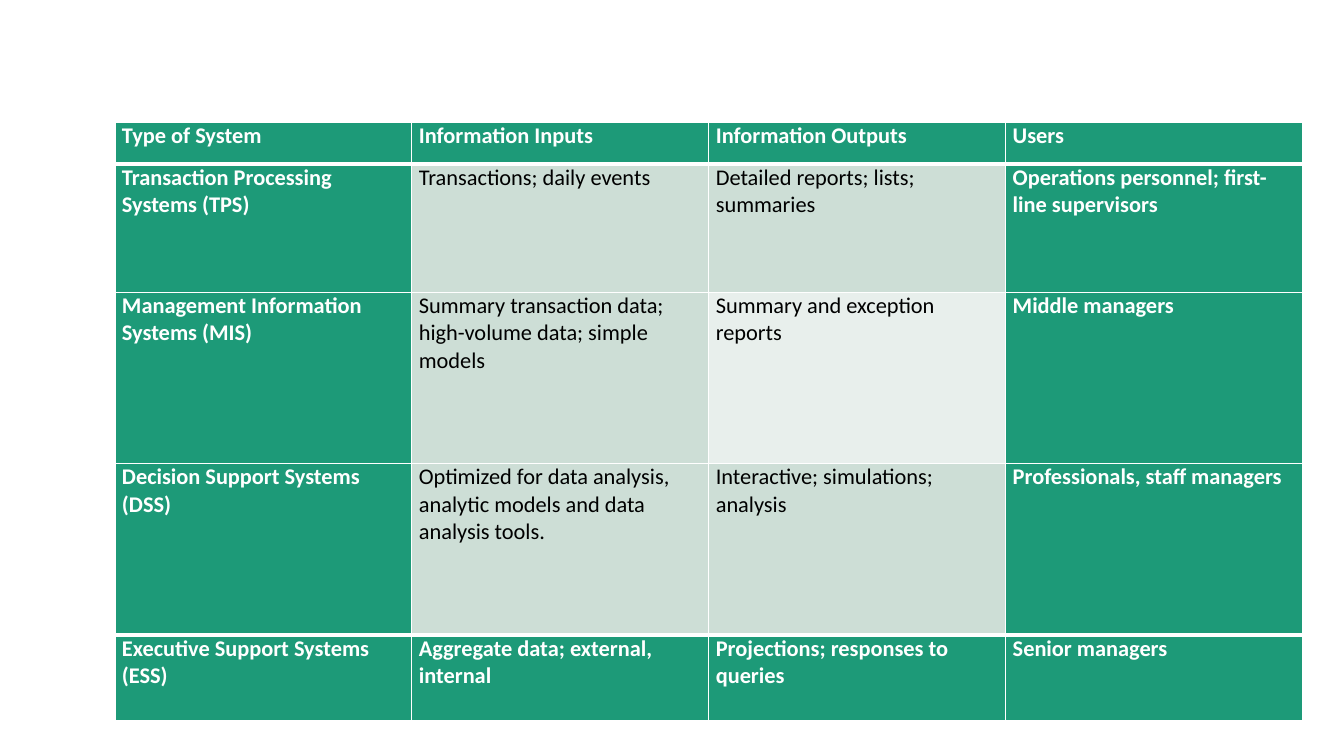
import lxml.etree
import pptx
import pptx.dml.color
import pptx.oxml.ns
import pptx.util
from pptx.util import Inches

WHITE = pptx.dml.color.RGBColor(0xFF, 0xFF, 0xFF)
BLACK = pptx.dml.color.RGBColor(0x00, 0x00, 0x00)
GREEN = pptx.dml.color.RGBColor(0x1D, 0x9A, 0x78)
PALE_GREEN = pptx.dml.color.RGBColor(0xCD, 0xDE, 0xD6)
LIGHT_GREEN = pptx.dml.color.RGBColor(0xE8, 0xEF, 0xEC)

TABLE_WIDTH = 11.78
ROW_HEIGHTS = [0.42, 1.27, 1.7, 1.7, 0.85]
SYSTEMS = [
    ["Type of System", "Information Inputs", "Information Outputs", "Users"],
    ["Transaction Processing Systems (TPS)", "Transactions; daily events",
     "Detailed reports; lists; summaries",
     "Operations personnel; first-line supervisors"],
    ["Management Information Systems (MIS)",
     "Summary transaction data; high-volume data; simple models",
     "Summary and exception reports", "Middle managers"],
    ["Decision Support Systems (DSS)",
     "Optimized for data analysis, analytic models and data analysis tools.",
     "Interactive; simulations; analysis", "Professionals, staff managers"],
    ["Executive Support Systems (ESS)", "Aggregate data; external, internal",
     "Projections; responses to queries", "Senior managers"],
]
LAST_ROW = len(SYSTEMS) - 1
LAST_COLUMN = len(SYSTEMS[0]) - 1
LIGHT_CELL = (2, 2)


def add_border(cell, side, points):
    """Draw a white border on one side: L, R, T or B."""
    properties = cell._tc.get_or_add_tcPr()
    line = lxml.etree.SubElement(properties, pptx.oxml.ns.qn(f"a:ln{side}"),
                                 w=str(pptx.util.Pt(points)))
    fill = lxml.etree.SubElement(line, pptx.oxml.ns.qn("a:solidFill"))
    lxml.etree.SubElement(fill, pptx.oxml.ns.qn("a:srgbClr"), val=str(WHITE))


def add_borders(cell, row):
    """Separate the first and last rows from the body with thicker lines."""
    thick_top = row in (1, LAST_ROW)
    thick_bottom = row in (0, LAST_ROW - 1)
    add_border(cell, "L", 1)
    add_border(cell, "R", 1)
    add_border(cell, "T", 3 if thick_top else 1)
    add_border(cell, "B", 3 if thick_bottom else 1)


def fill_cell(cell, text, fill_color, emphasized):
    cell.margin_left = cell.margin_right = Inches(0.07)
    cell.margin_top = cell.margin_bottom = 0
    cell.fill.solid()
    cell.fill.fore_color.rgb = fill_color
    cell.text_frame.text = text
    font = cell.text_frame.paragraphs[0].runs[0].font
    font.name = "Calibri"
    font.size = pptx.util.Pt(16)
    font.bold = emphasized
    font.color.rgb = WHITE if emphasized else BLACK


def add_systems_table(slide):
    table = slide.shapes.add_table(
        len(SYSTEMS), len(SYSTEMS[0]), Inches(1.14), Inches(1.21),
        Inches(TABLE_WIDTH), Inches(sum(ROW_HEIGHTS))).table
    for column in table.columns:
        column.width = Inches(TABLE_WIDTH / len(SYSTEMS[0]))
    for row, texts in enumerate(SYSTEMS):
        table.rows[row].height = Inches(ROW_HEIGHTS[row])
        for column, text in enumerate(texts):
            cell = table.cell(row, column)
            on_edge = row in (0, LAST_ROW) or column in (0, LAST_COLUMN)
            if on_edge:
                fill_color = GREEN
            else:
                fill_color = LIGHT_GREEN if (row, column) == LIGHT_CELL else PALE_GREEN
            add_borders(cell, row)
            fill_cell(cell, text, fill_color, on_edge)


def main():
    presentation = pptx.Presentation()
    presentation.slide_width = Inches(13.33)
    presentation.slide_height = Inches(7.5)
    slide = presentation.slides.add_slide(presentation.slide_layouts[6])
    add_systems_table(slide)
    presentation.save("out.pptx")


if __name__ == "__main__":
    main()
